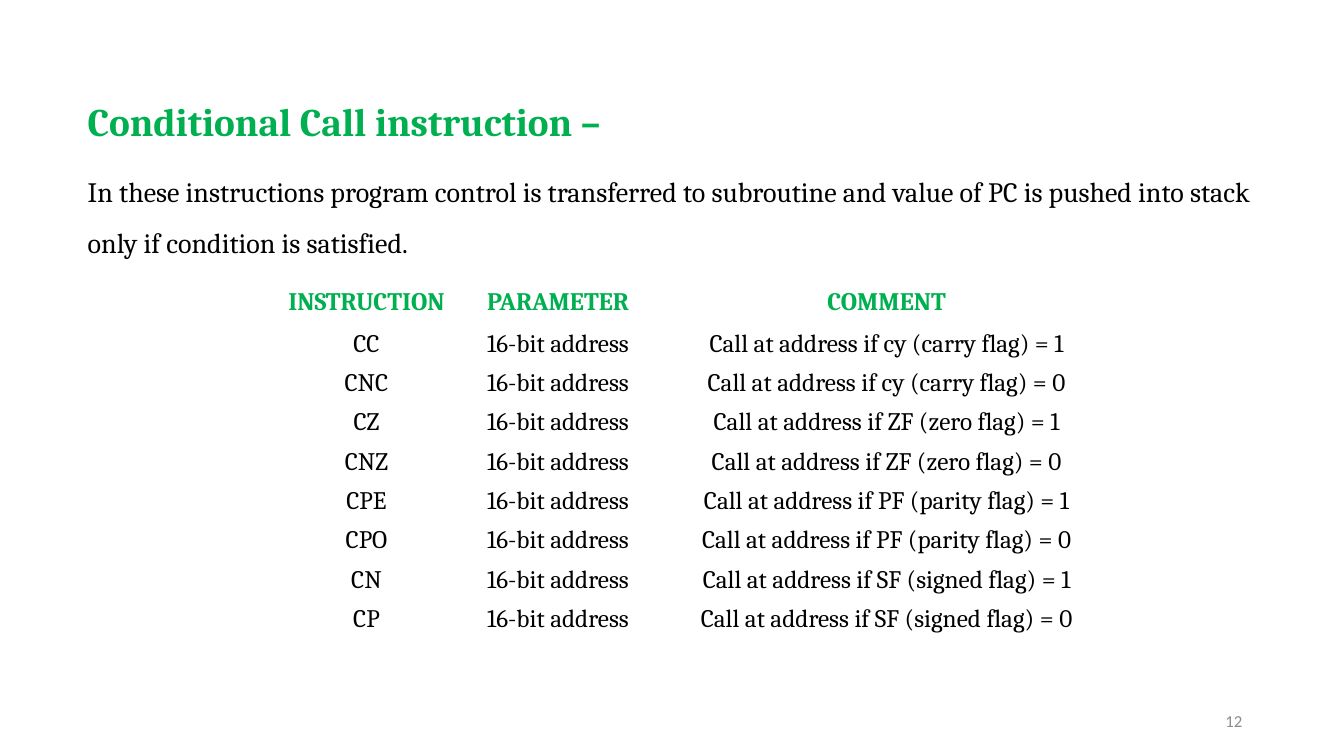
"""Build the slide on conditional call instructions."""
from dataclasses import dataclass

from lxml import etree
from pptx import Presentation
from pptx.dml.color import RGBColor
from pptx.enum.text import MSO_ANCHOR, MSO_AUTO_SIZE, PP_ALIGN
from pptx.oxml.ns import qn
from pptx.util import Inches, Pt

LEFT, CENTER, RIGHT, JUSTIFY = PP_ALIGN.LEFT, PP_ALIGN.CENTER, PP_ALIGN.RIGHT, PP_ALIGN.JUSTIFY
MIDDLE = MSO_ANCHOR.MIDDLE
NO_AUTOFIT = MSO_AUTO_SIZE.NONE
GREEN, BLACK, GREY, WHITE = "00B050", "000000", "8C8C8C", "FFFFFF"
TITLE_AND_CONTENT = 1


@dataclass(frozen=True)
class Style:
    size: float
    color: str = BLACK
    bold: bool = False
    font: str = "Cambria"


@dataclass(frozen=True)
class Call:
    mnemonic: str
    flag: str
    value: int

    def cells(self) -> tuple[str, str, str]:
        return self.mnemonic, "16-bit address", f"Call at address if {self.flag} = {self.value}"


HEADING = Style(28, GREEN, True)
EXPLANATION = Style(20)
COLUMN_HEAD = Style(18, GREEN, True)
ENTRY = Style(18)
PAGE_NUMBER = Style(12, GREY, font="Calibri")

COLUMN_NAMES = ("INSTRUCTION", "PARAMETER", "COMMENT")
COLUMN_WIDTHS = (1.87, 1.93, 4.59)
HEAD_HEIGHT, ENTRY_HEIGHT = 0.45, 0.39
HEAD_MARGIN = 0.08
CALLS = (
    Call("CC", "cy (carry flag)", 1),
    Call("CNC", "cy (carry flag)", 0),
    Call("CZ", "ZF (zero flag)", 1),
    Call("CNZ", "ZF (zero flag)", 0),
    Call("CPE", "PF (parity flag)", 1),
    Call("CPO", "PF (parity flag)", 0),
    Call("CN", "SF (signed flag)", 1),
    Call("CP", "SF (signed flag)", 0),
)


def rgb(code: str) -> RGBColor:
    return RGBColor.from_string(code)


def write(paragraph, text: str, style: Style, align: PP_ALIGN) -> None:
    paragraph.alignment = align
    run = paragraph.add_run()
    run.text = text
    run.font.name = style.font
    run.font.size = Pt(style.size)
    run.font.bold = style.bold
    run.font.color.rgb = rgb(style.color)


def place(shape, left: float, top: float, width: float, height: float) -> None:
    shape.left, shape.top = Inches(left), Inches(top)
    shape.width, shape.height = Inches(width), Inches(height)


def write_body(paragraph, text: str, style: Style, align: PP_ALIGN) -> None:
    write(paragraph, text, style, align)
    paragraph.line_spacing = 1.5
    paragraph.space_before = Pt(10)
    properties = paragraph._p.get_or_add_pPr()
    properties.set("marL", "0")
    properties.set("indent", "0")
    etree.SubElement(properties, qn("a:buNone"))


def add_introduction(slide) -> None:
    title = slide.shapes.title
    title.element.getparent().remove(title.element)
    introduction = slide.placeholders[1]
    place(introduction, 0.77, 0.68, 11.86, 6.19)
    frame = introduction.text_frame
    frame.auto_size = NO_AUTOFIT
    frame.word_wrap = True
    write_body(frame.paragraphs[0], "Conditional Call instruction –", HEADING, JUSTIFY)
    write_body(
        frame.add_paragraph(),
        "In these instructions program control is transferred to subroutine and value of PC "
        "is pushed into stack only if condition is satisfied.",
        EXPLANATION,
        LEFT,
    )


def add_call_table(slide) -> None:
    rows = [COLUMN_NAMES, *(call.cells() for call in CALLS)]
    height = HEAD_HEIGHT + ENTRY_HEIGHT * len(CALLS)
    table = slide.shapes.add_table(
        len(rows), len(COLUMN_NAMES),
        Inches(2.7), Inches(2.77), Inches(sum(COLUMN_WIDTHS)), Inches(height),
    ).table
    table.first_row = table.horz_banding = False
    for column, width in zip(table.columns, COLUMN_WIDTHS):
        column.width = Inches(width)
    for index, (row, texts) in enumerate(zip(table.rows, rows)):
        is_head = index == 0
        row.height = Inches(HEAD_HEIGHT if is_head else ENTRY_HEIGHT)
        for cell, text in zip(row.cells, texts):
            cell.fill.solid()
            cell.fill.fore_color.rgb = rgb(WHITE)
            cell.vertical_anchor = MIDDLE
            if is_head:
                cell.margin_left = cell.margin_right = Inches(HEAD_MARGIN)
                cell.margin_top = cell.margin_bottom = Inches(HEAD_MARGIN)
            style = COLUMN_HEAD if is_head else ENTRY
            write(cell.text_frame.paragraphs[0], text, style, CENTER)


def add_page_number(slide) -> None:
    number = slide.shapes.add_textbox(Inches(9.42), Inches(6.95), Inches(3), Inches(0.4))
    frame = number.text_frame
    frame.word_wrap = True
    frame.vertical_anchor = MIDDLE
    write(frame.paragraphs[0], "12", PAGE_NUMBER, RIGHT)


def main() -> None:
    deck = Presentation()
    deck.slide_width, deck.slide_height = Inches(13.33), Inches(7.5)
    slide = deck.slides.add_slide(deck.slide_layouts[TITLE_AND_CONTENT])
    add_introduction(slide)
    add_call_table(slide)
    add_page_number(slide)
    deck.save("out.pptx")


if __name__ == "__main__":
    main()
